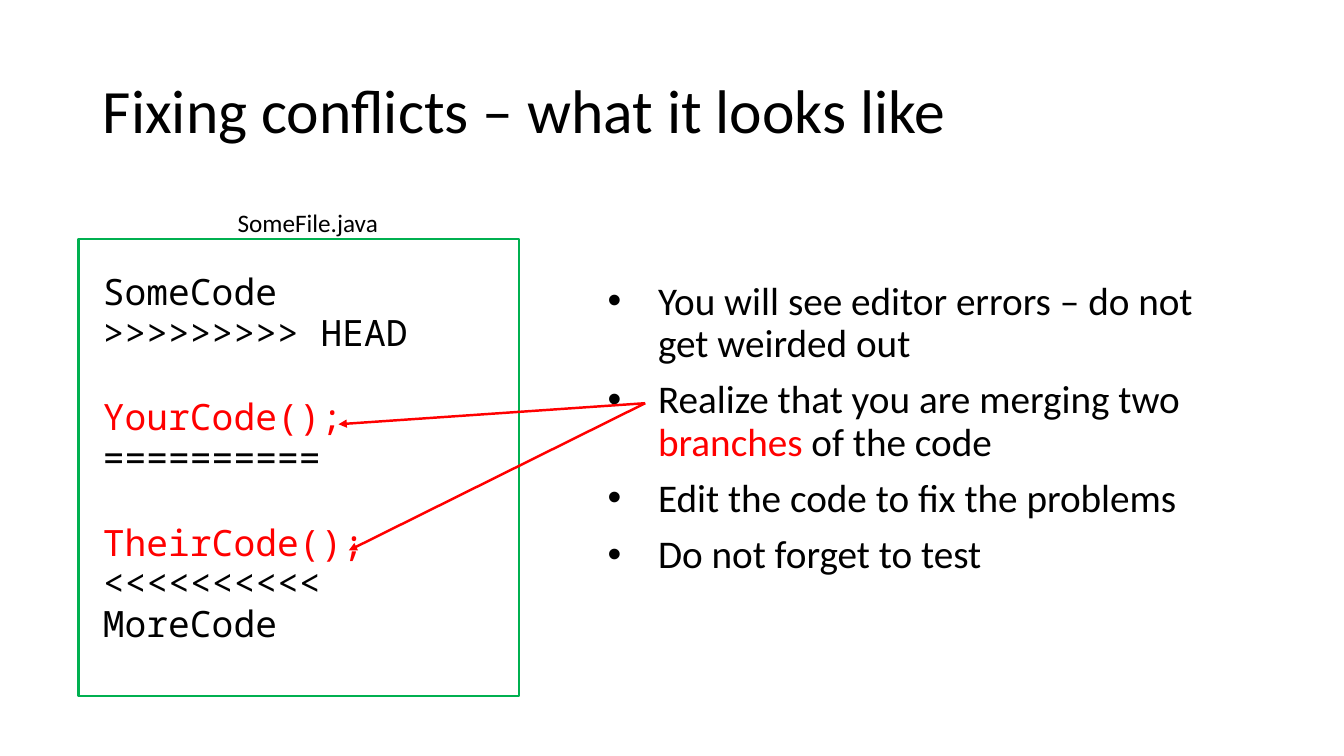
from dataclasses import dataclass

from lxml.etree import SubElement
from pptx import Presentation
from pptx.dml.color import RGBColor
from pptx.enum.shapes import MSO_CONNECTOR, MSO_SHAPE
from pptx.enum.text import MSO_ANCHOR, MSO_AUTO_SIZE, PP_ALIGN
from pptx.oxml.ns import qn
from pptx.util import Cm, Pt


@dataclass(frozen=True)
class Theme:
    text: RGBColor = RGBColor(0x00, 0x00, 0x00)
    accent: RGBColor = RGBColor(0xFF, 0x00, 0x00)
    frame: RGBColor = RGBColor(0x00, 0xB0, 0x50)
    font: str = "Calibri"
    code_font: str = "Noto Sans Mono"
    title_size: float = 44
    body_size: float = 28
    code_size: float = 25.9
    label_size: float = 18


@dataclass(frozen=True)
class Box:
    left: float
    top: float
    width: float
    height: float


THEME = Theme()
TITLE_BOX = Box(2.34, 1.02, 29.21, 3.68)
CODE_BOX = Box(1.98, 6.02, 11.1, 11.53)
ADVICE_BOX = Box(15.06, 6.96, 16.48, 10.24)

CODE_GAP = 7.1
CODE_BLANK_LINE = 31.8
CODE_LINES = [
    ("SomeCode", THEME.text, False),
    (">>>>>>>>> HEAD", THEME.text, False),
    ("YourCode();", THEME.accent, True),
    ("==========", THEME.text, False),
    ("TheirCode();", THEME.accent, True),
    ("<<<<<<<<<<", THEME.text, False),
    ("MoreCode", THEME.text, False),
]
ADVICE = [
    [("You will see editor errors – do not get weirded out", THEME.text)],
    [
        ("Realize that you are merging two ", THEME.text),
        ("branches", THEME.accent),
        (" of the code", THEME.text),
    ],
    [("Edit the code to fix the problems", THEME.text)],
    [("Do not forget to test", THEME.text)],
]


def add_text(paragraph, text, *, size, font=THEME.font, color=THEME.text):
    run = paragraph.add_run()
    run.text = text
    run.font.size = Pt(size)
    run.font.name = font
    run.font.color.rgb = color


def place(shape, box):
    shape.left, shape.top = Cm(box.left), Cm(box.top)
    shape.width, shape.height = Cm(box.width), Cm(box.height)


def prepare_frame(shape, anchor):
    frame = shape.text_frame
    frame.word_wrap = True
    frame.auto_size = MSO_AUTO_SIZE.NONE
    frame.vertical_anchor = anchor
    return frame


def next_paragraph(frame, position, *, spacing, before, indent=0, bullet=None):
    paragraph = frame.add_paragraph() if position else frame.paragraphs[0]
    paragraph.alignment = PP_ALIGN.LEFT
    paragraph.line_spacing = spacing
    paragraph.space_before = Pt(before)
    properties = paragraph._p.get_or_add_pPr()
    properties.set("marL", str(Cm(indent)))
    properties.set("indent", str(-Cm(indent)))
    if bullet:
        SubElement(properties, qn("a:buFont"), typeface="Arial")
        SubElement(properties, qn("a:buChar"), char=bullet)
    else:
        SubElement(properties, qn("a:buNone"))
    return paragraph


def build_title(placeholder, box):
    place(placeholder, box)
    frame = prepare_frame(placeholder, MSO_ANCHOR.MIDDLE)
    paragraph = next_paragraph(frame, 0, spacing=0.9, before=0)
    add_text(paragraph, "Fixing conflicts – what it looks like", size=THEME.title_size)


def build_code_panel(slide, placeholder, box):
    place(placeholder, Box(box.left + 0.36, box.top + 0.94, 12.37, 10.24))
    frame = prepare_frame(placeholder, MSO_ANCHOR.TOP)
    for position, (line, color, after_blank) in enumerate(CODE_LINES):
        before = CODE_GAP + CODE_BLANK_LINE * after_blank
        paragraph = next_paragraph(frame, position, spacing=0.7, before=before)
        add_text(paragraph, line, size=THEME.code_size, font=THEME.code_font, color=color)

    outline = slide.shapes.add_shape(MSO_SHAPE.RECTANGLE, 0, 0, 0, 0)
    place(outline, box)
    outline.shadow.inherit = False
    outline.fill.background()
    outline.line.color.rgb = THEME.frame
    outline.line.width = Pt(1.5)

    label = slide.shapes.add_textbox(0, 0, 0, 0)
    place(label, Box(box.left + 3.76, box.top - 0.91, 4.09, 1.02))
    label.text_frame.word_wrap = False
    label.text_frame.auto_size = MSO_AUTO_SIZE.SHAPE_TO_FIT_TEXT
    add_text(label.text_frame.paragraphs[0], "SomeFile.java", size=THEME.label_size)


def build_advice(placeholder, box):
    place(placeholder, box)
    frame = prepare_frame(placeholder, MSO_ANCHOR.TOP)
    for position, parts in enumerate(ADVICE):
        paragraph = next_paragraph(
            frame, position, spacing=0.9, before=10, indent=1.27, bullet="•"
        )
        for text, color in parts:
            add_text(paragraph, text, size=THEME.body_size, color=color)


def build_arrows(slide, code_box, advice_box):
    start = Cm(advice_box.left + 1.2), Cm(advice_box.top + 3.2)
    for across, down in ((6.81, 7.85), (6.55, 4.67)):
        end = Cm(code_box.left + across), Cm(code_box.top + down)
        arrow = slide.shapes.add_connector(MSO_CONNECTOR.STRAIGHT, *start, *end)
        arrow.line.color.rgb = THEME.accent
        arrow.line.width = Pt(1.75)
        SubElement(arrow.line._get_or_add_ln(), qn("a:tailEnd"), type="triangle")
        SubElement(arrow._element.spPr, qn("a:effectLst"))


def main():
    presentation = Presentation()
    presentation.slide_width, presentation.slide_height = Cm(33.87), Cm(19.05)
    slide = presentation.slides.add_slide(presentation.slide_layouts[3])
    title, code, advice = slide.placeholders
    build_title(title, TITLE_BOX)
    build_code_panel(slide, code, CODE_BOX)
    build_advice(advice, ADVICE_BOX)
    build_arrows(slide, CODE_BOX, ADVICE_BOX)
    presentation.save("out.pptx")


if __name__ == "__main__":
    main()
